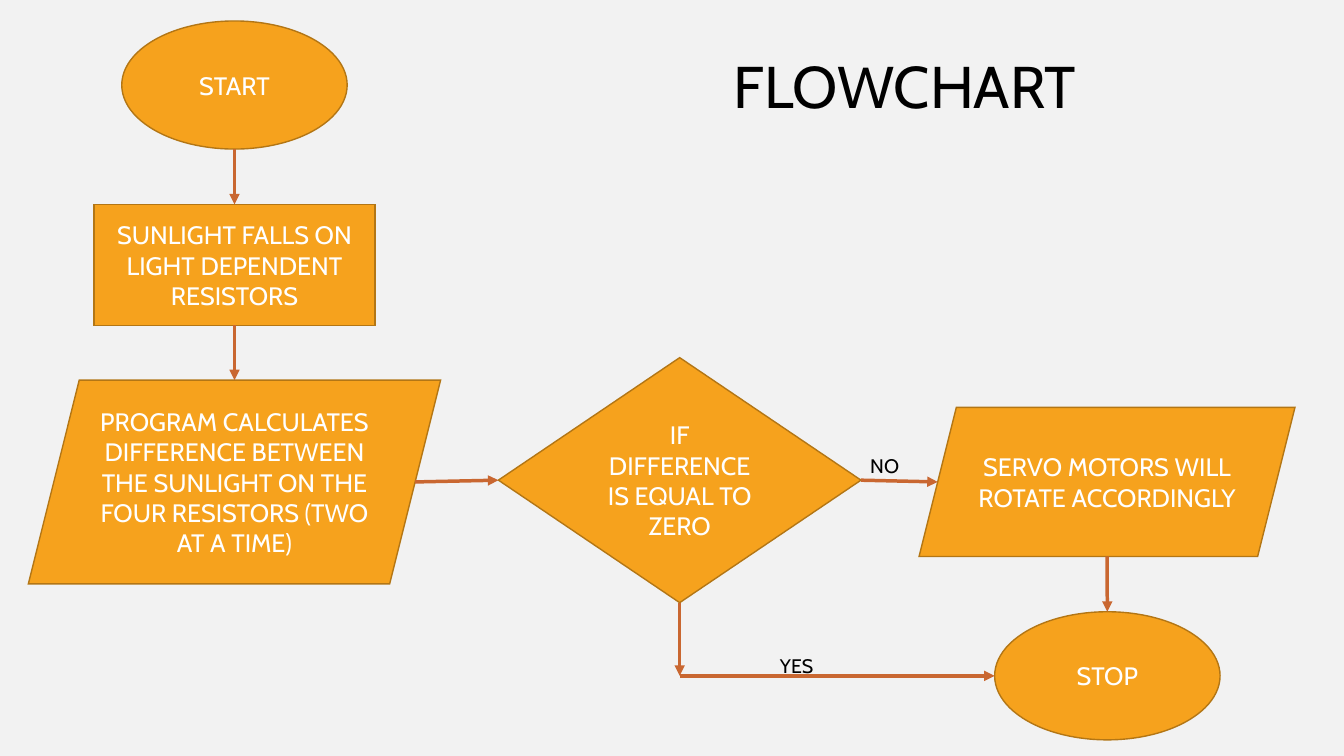
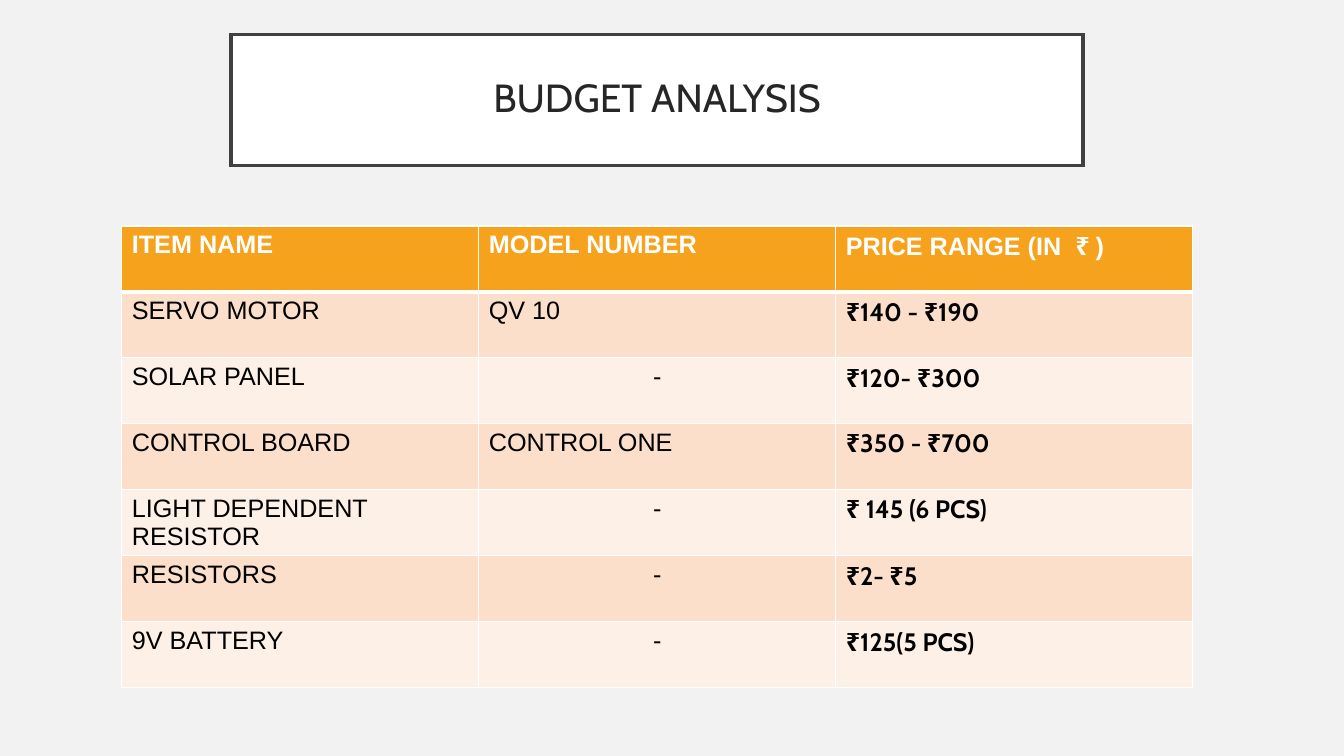
from lxml.etree import SubElement
from pptx import Presentation
from pptx.dml.color import RGBColor
from pptx.enum.shapes import MSO_CONNECTOR, MSO_SHAPE
from pptx.enum.text import MSO_ANCHOR, PP_ALIGN
from pptx.oxml import parse_xml
from pptx.oxml.ns import nsdecls, qn
from pptx.util import Pt

# Shared look
HUES = {
    "page": "F2F2F2", "gold": "F6A21D", "edge": "B37615", "rust": "C96731",
    "white": "FFFFFF", "black": "000000", "frame": "404040", "title": "262626",
    "peach": "FBDFCB", "cream": "FDF0E7",
}
NODE = {"name": "Cabin", "size": Pt(18), "ink": "white"}
NOTE = {"name": "Cabin", "size": Pt(14), "ink": "black"}
HEAD = {"name": "Cabin", "size": Pt(42), "ink": "black"}
TITLE = {"name": "Cabin", "size": Pt(28), "ink": "title"}
TOP = {"name": "Arial", "size": Pt(18), "bold": True, "ink": "white"}
CELL = {"name": "Arial", "size": Pt(18), "bold": False, "ink": "black"}
PRICE = {"name": "Cabin", "size": Pt(18), "bold": True, "ink": "black"}

# Flowchart: kind, left, top, width, height, text
SLANT = 0.25
STEPS = {
    "start": ("OVAL", 87, 15, 161, 91.5, "START"),
    "light": ("RECTANGLE", 67, 146, 201, 86.5,
              "SUNLIGHT FALLS ON LIGHT DEPENDENT RESISTORS"),
    "calc": ("PARALLELOGRAM", 20.25, 271.5, 294.5, 145.5,
             "PROGRAM CALCULATES DIFFERENCE BETWEEN THE SUNLIGHT ON THE "
             "FOUR RESISTORS (TWO AT A TIME)"),
    "test": ("DIAMOND", 356, 255.5, 259, 175, "IF DIFFERENCE IS EQUAL TO ZERO"),
    "servo": ("PARALLELOGRAM", 656.5, 291, 268.5, 106.5,
              "SERVO MOTORS WILL ROTATE ACCORDINGLY"),
    "stop": ("OVAL", 710.5, 437, 161, 91.5, "STOP"),
}
LINKS = [
    ("start", "bottom", "light", "top"),
    ("light", "bottom", "calc", "top"),
    ("calc", "right", "test", "left"),
    ("test", "right", "servo", "left"),
    ("servo", "bottom", "stop", "top"),
]

# Budget table
ROWS = [
    ("ITEM NAME", "MODEL NUMBER", "PRICE RANGE (IN  ₹ )"),
    ("SERVO MOTOR", "QV 10", "₹140 - ₹190"),
    ("SOLAR PANEL", "-", "₹120- ₹300"),
    ("CONTROL BOARD", "CONTROL ONE", "₹350 - ₹700"),
    ("LIGHT DEPENDENT RESISTOR", "-", "₹ 145 (6 PCS)"),
    ("RESISTORS", "-", "₹2- ₹5"),
    ("9V BATTERY", "-", "₹125(5 PCS)"),
]


def hue(name):
    return RGBColor.from_string(HUES[name])


def paint(fill, name):
    fill.solid()
    fill.fore_color.rgb = hue(name)


def style(font, look):
    for key, value in look.items():
        if key == "ink":
            font.color.rgb = hue(value)
        else:
            setattr(font, key, value)


def write(para, text, look, align=PP_ALIGN.LEFT):
    para.alignment = align
    run = para.add_run()
    run.text = text
    style(run.font, look)


def new_slide(deck):
    slide = deck.slides.add_slide(deck.slide_layouts[6])
    paint(slide.background.fill, "page")
    return slide


def add_box(slide, kind, box, text, look, fill, edge, width):
    shape = slide.shapes.add_shape(MSO_SHAPE[kind], *map(Pt, box))
    shape.shadow.inherit = False
    paint(shape.fill, fill)
    shape.line.color.rgb = hue(edge)
    shape.line.width = Pt(width)
    SubElement(shape.line._get_or_add_ln(), qn("a:miter"), lim="800000")
    frame = shape.text_frame
    frame.word_wrap = True
    frame.vertical_anchor = MSO_ANCHOR.MIDDLE
    write(frame.paragraphs[0], text, look, PP_ALIGN.CENTER)
    return shape


def add_text(slide, box, text, look):
    frame = slide.shapes.add_textbox(*map(Pt, box)).text_frame
    frame.word_wrap = True
    write(frame.paragraphs[0], text, look)


def spot(name, side):
    """Point where an arrow meets the given side of a step."""
    kind, x, y, w, h, _ = STEPS[name]
    inset = SLANT * min(w, h) / 2 if kind == "PARALLELOGRAM" else 0
    return {
        "top": (x + w / 2, y),
        "bottom": (x + w / 2, y + h),
        "left": (x + inset, y + h / 2),
        "right": (x + w - inset, y + h / 2),
    }[side]


def add_arrow(slide, start, end):
    line = slide.shapes.add_connector(
        MSO_CONNECTOR.STRAIGHT, *map(Pt, start + end))
    line.line.color.rgb = hue("rust")
    line.line.width = Pt(2.5)
    SubElement(line.line._get_or_add_ln(), qn("a:tailEnd"), type="triangle")
    SubElement(line._element.spPr, qn("a:effectLst"))


def add_edges(cell, widths):
    props = cell._tc.get_or_add_tcPr()
    for place, (side, width) in enumerate(widths.items()):
        props.insert(place, parse_xml(
            f'<a:ln{side} {nsdecls("a")} w="{Pt(width)}"><a:solidFill>'
            f'<a:srgbClr val="{HUES["white"]}"/></a:solidFill></a:ln{side}>'))


def add_grid(slide, left, top, wide, high):
    cols = len(ROWS[0])
    table = slide.shapes.add_table(
        len(ROWS), cols, Pt(left), Pt(top), Pt(wide * cols),
        Pt(high * len(ROWS))).table
    for col in table.columns:
        col.width = Pt(wide)
    for r, row in enumerate(ROWS):
        table.rows[r].height = Pt(high)
        for c, text in enumerate(row):
            cell = table.cell(r, c)
            paint(cell.fill, ("cream", "peach")[r % 2] if r else "gold")
            add_edges(cell, {"L": 1, "R": 1, "T": 3 if r == 1 else 1,
                             "B": 1 if r else 3})
            para = cell.text_frame.paragraphs[0]
            if r:
                align = PP_ALIGN.CENTER if text == "-" else PP_ALIGN.LEFT
                write(para, text, PRICE if c == 2 else CELL, align)
                continue
            # The rupee sign in the header has its own font
            lead, sign, rest = text.partition("₹ ")
            for part, name in ((lead, "Arial"), (sign, "Cabin"), (rest, "Arial")):
                if part:
                    write(para, part, {**TOP, "name": name})


def draw_flow(deck):
    slide = new_slide(deck)
    for kind, *box, text in STEPS.values():
        shape = add_box(slide, kind, box, text, NODE, "gold", "edge", 1)
        if kind == "PARALLELOGRAM":
            shape.adjustments[0] = SLANT
    for first, out, last, into in LINKS:
        add_arrow(slide, spot(first, out), spot(last, into))
    # The "yes" branch turns a corner
    base, goal = spot("test", "bottom"), spot("stop", "left")
    turn = (base[0], goal[1])
    add_arrow(slide, base, turn)
    add_arrow(slide, turn, goal)
    add_text(slide, (550, 463.5, 59, 24.5), "YES", NOTE)
    add_text(slide, (614.5, 321, 59, 24.5), "NO", NOTE)
    add_text(slide, (517, 32, 374.5, 58.5), "FLOWCHART", HEAD)


def draw_costs(deck):
    slide = new_slide(deck)
    title = add_box(slide, "RECTANGLE", (165, 24.75, 608.5, 93.5),
                    "BUDGET ANALYSIS", TITLE, "white", "frame", 2.5)
    title.text_frame.paragraphs[0].line_spacing = 0.9
    add_grid(slide, 87, 161.5, 255, 47)


def main():
    deck = Presentation()
    deck.slide_width, deck.slide_height = Pt(960), Pt(540)
    draw_flow(deck)
    draw_costs(deck)
    deck.save("out.pptx")


if __name__ == "__main__":
    main()
